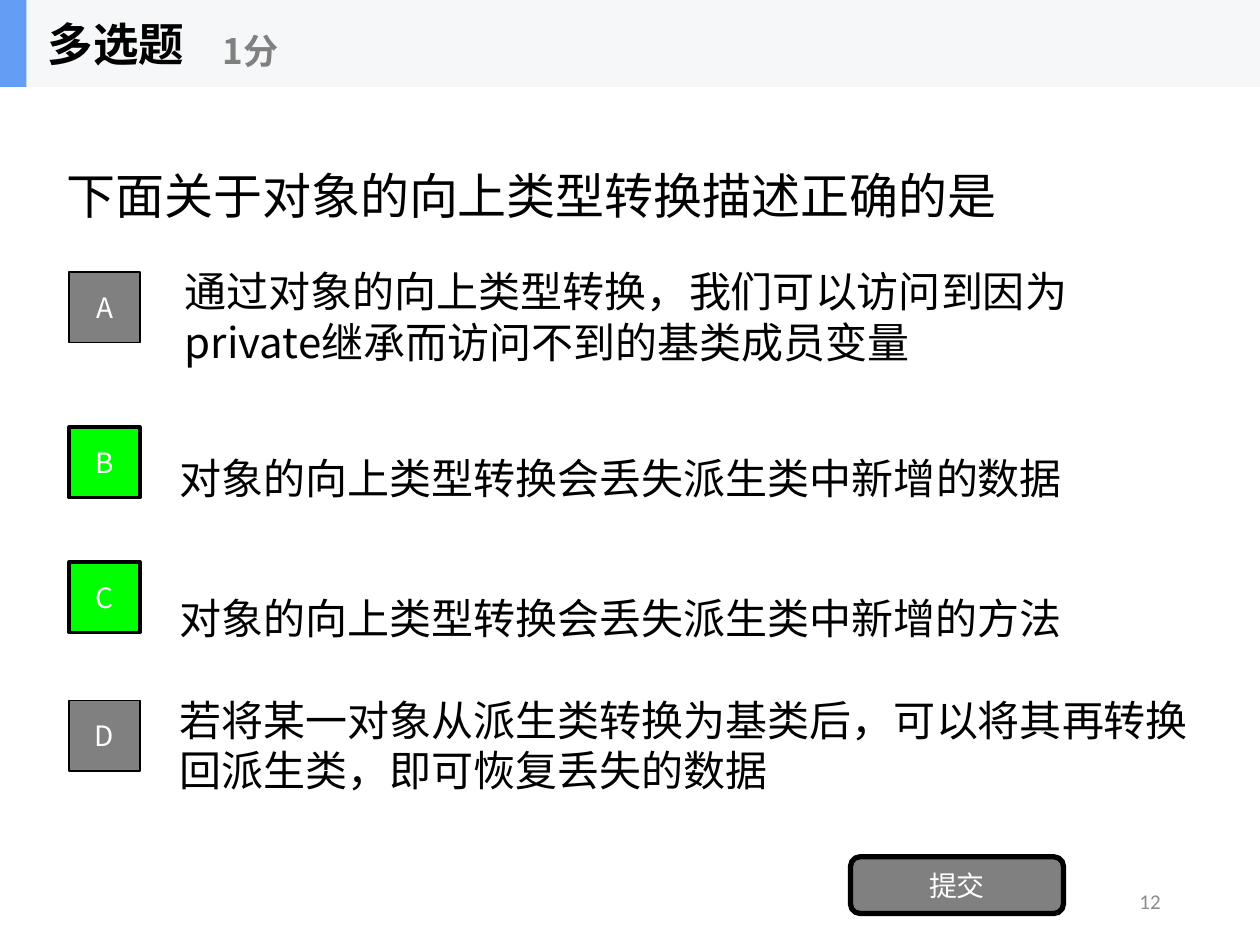
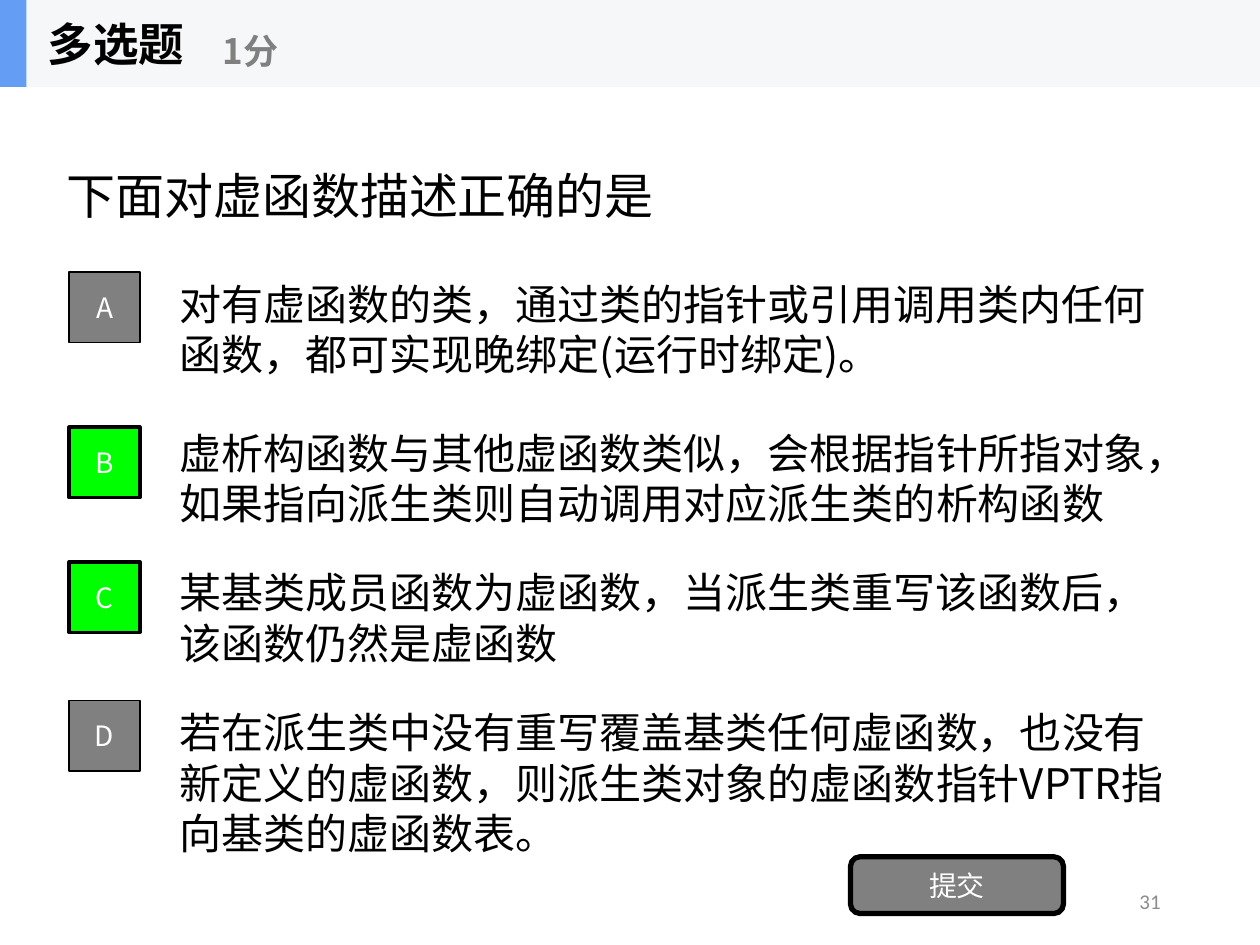
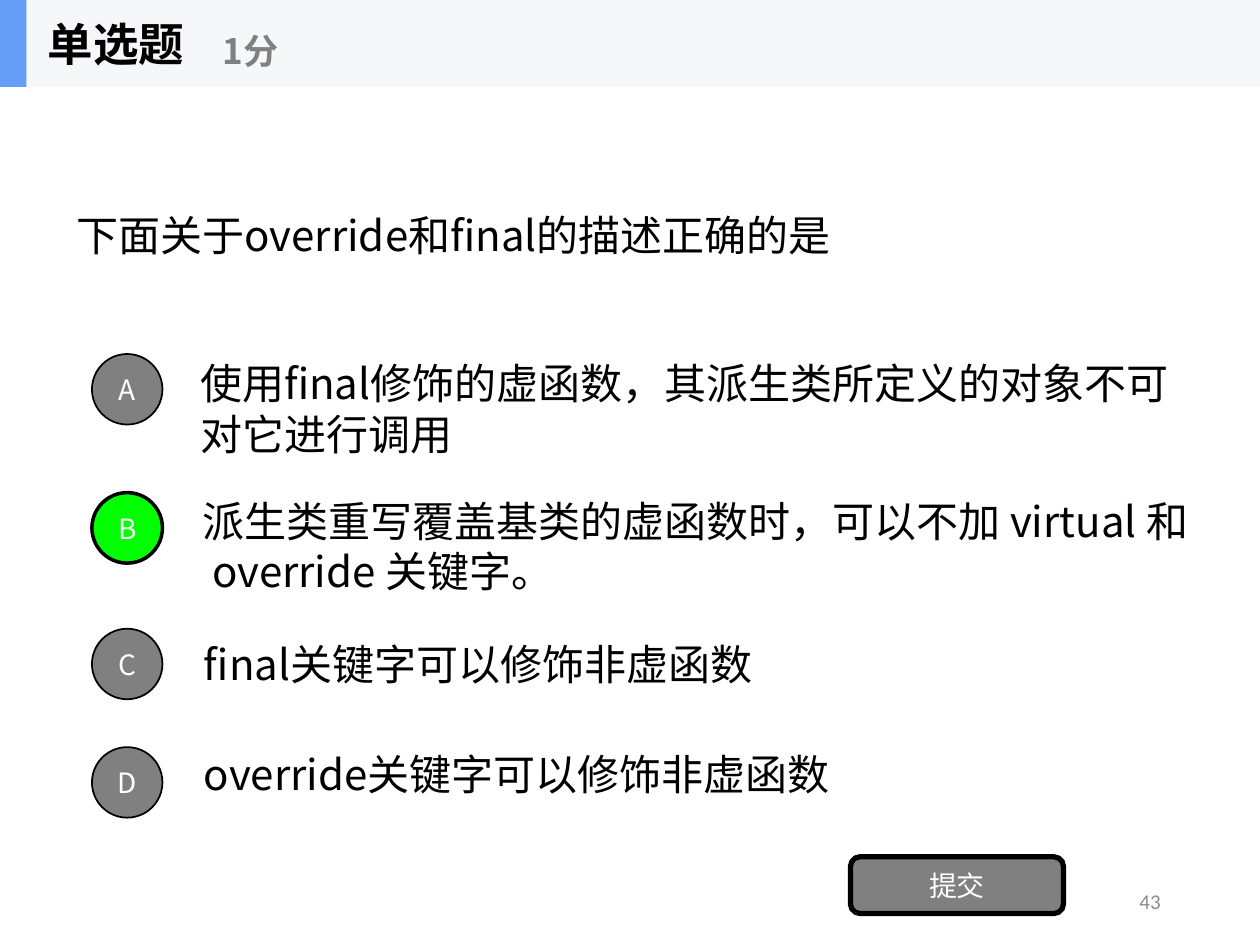
import dataclasses

import lxml.etree
import pptx
import pptx.dml.color
import pptx.enum.shapes
import pptx.enum.text
import pptx.oxml.ns
import pptx.util

Inches = pptx.util.Inches
Pt = pptx.util.Pt
Shape = pptx.enum.shapes.MSO_SHAPE
Align = pptx.enum.text.PP_ALIGN

COLOURS = {
    "text": "000000",
    "button": "808080",
    "correct": "00FF00",
    "white": "FFFFFF",
    "band": "F6F7F8",
    "accent": "639EF4",
    "number": "8C8C8C",
}
CJK_FONT = "Noto Sans CJK SC"
NUMBER_FONT = "Calibri"
BAND_HEIGHT = 0.69
BADGE_SIZE = 0.56
OPTION_HEIGHT = 0.7
WIDE = 8.25


@dataclasses.dataclass
class Option:
    """An answer: its lines, text box position and size, and badge top."""
    lines: list
    left: float
    top: float
    badge_top: float
    correct: bool = False
    width: float = 8
    height: float = OPTION_HEIGHT


@dataclasses.dataclass
class Question:
    """A question slide and the look of its answer badges."""
    kind: str
    number: int
    prompt: str
    options: list
    prompt_left: float = 0.43
    prompt_top: float = 0.38
    prompt_size: int = 28
    badge_shape: int = Shape.RECTANGLE
    badge_left: float = 0.55


QUESTIONS = [
    Question("多选题", 12, "下面关于对象的向上类型转换描述正确的是", [
        Option(["通过对象的向上类型转换，我们可以访问到因为",
                "private继承而访问不到的基类成员变量"], 1.37, 2.03, 2.16, height=0.96),
        Option(["对象的向上类型转换会丢失派生类中新增的数据"],
               1.33, 3.44, 3.39, True, width=7.25),
        Option(["对象的向上类型转换会丢失派生类中新增的方法"], 1.33, 4.55, 4.46, True),
        Option(["若将某一对象从派生类转换为基类后，可以将其再转换",
                "回派生类，即可恢复丢失的数据"], 1.33, 5.56, 5.56, width=WIDE),
    ]),
    Question("多选题", 31, "下面对虚函数描述正确的是", [
        Option(["对有虚函数的类，通过类的指针或引用调用类内任何",
                "函数，都可实现晚绑定(运行时绑定)。"], 1.33, 2.26, 2.16),
        Option(["虚析构函数与其他虚函数类似，会根据指针所指对象，",
                "如果指向派生类则自动调用对应派生类的析构函数"],
               1.33, 3.44, 3.39, True, width=WIDE),
        Option(["某基类成员函数为虚函数，当派生类重写该函数后，",
                "该函数仍然是虚函数"], 1.33, 4.55, 4.46, True),
        Option(["若在派生类中没有重写覆盖基类任何虚函数，也没有",
                "新定义的虚函数，则派生类对象的虚函数指针VPTR指",
                "向基类的虚函数表。"], 1.33, 5.86, 5.56, width=WIDE),
    ]),
    Question("单选题", 43, "下面关于override和final的描述正确的是", [
        Option(["使用final修饰的虚函数，其派生类所定义的对象不可",
                "对它进行调用"], 1.49, 2.89, 2.81, width=WIDE),
        Option(["派生类重写覆盖基类的虚函数时，可以不加 virtual 和",
                " override 关键字。"], 1.51, 3.98, 3.91, True, width=WIDE),
        Option(["final关键字可以修饰非虚函数"], 1.52, 4.92, 4.99, width=7),
        Option(["override关键字可以修饰非虚函数"], 1.52, 5.79, 5.93, width=7),
    ], prompt_left=0.51, prompt_top=0.69, prompt_size=24,
        badge_shape=Shape.OVAL, badge_left=0.73),
]


def rgb(name):
    """Return the named colour."""
    return pptx.dml.color.RGBColor.from_string(COLOURS[name])


def write(shape, lines, size, colour="text", align=Align.LEFT, bold=False,
          font=CJK_FONT, wrap=True):
    """Write one paragraph per line, centred vertically in the shape."""
    frame = shape.text_frame
    frame.word_wrap = wrap
    frame.vertical_anchor = pptx.enum.text.MSO_ANCHOR.MIDDLE
    frame.text = "\n".join(lines)
    for paragraph in frame.paragraphs:
        paragraph.alignment = align
        paragraph.font.size = Pt(size)
        paragraph.font.bold = bold
        paragraph.font.name = font
        paragraph.font.color.rgb = rgb(colour)
        properties = paragraph.font._element
        east_asian = lxml.etree.SubElement(properties, pptx.oxml.ns.qn("a:ea"))
        east_asian.set("typeface", font)


def add_text(shapes, left, top, width, height, lines, size, **style):
    """Add a text box."""
    box = shapes.add_textbox(Inches(left), Inches(top), Inches(width), Inches(height))
    write(box, lines, size, **style)


def add_block(shapes, kind, left, top, width, height, fill, line_width=0):
    """Add a filled shape, outlined in black if a line width is given."""
    shape = shapes.add_shape(kind, Inches(left), Inches(top),
                             Inches(width), Inches(height))
    shape.shadow.inherit = False
    shape.fill.solid()
    shape.fill.fore_color.rgb = rgb(fill)
    if line_width:
        shape.line.color.rgb = rgb("text")
        shape.line.width = Pt(line_width)
    else:
        shape.line.fill.background()
    return shape


def add_button(shapes, kind, left, top, width, height, label, fill, line_width):
    """Add an outlined shape with a centred white label."""
    button = add_block(shapes, kind, left, top, width, height, fill, line_width)
    write(button, [label], 16, colour="white", align=Align.CENTER)


def add_header(slide, kind):
    """Add the grouped title band with question kind and score."""
    shapes = slide.shapes.add_group_shape().shapes
    add_block(shapes, Shape.RECTANGLE, 0, 0, 10, BAND_HEIGHT, "band")
    add_block(shapes, Shape.RECTANGLE, 0, 0, 0.21, BAND_HEIGHT, "accent")
    add_text(shapes, 0.28, 0, 2.08, BAND_HEIGHT, [kind], 26, bold=True, wrap=False)
    add_text(shapes, 1.67, 0.12, 2.5, 0.56, ["1分"], 20, colour="button",
             bold=True, wrap=False)


def add_question(presentation, question):
    """Add one question slide."""
    slide = presentation.slides.add_slide(presentation.slide_layouts[6])
    shapes = slide.shapes
    add_text(shapes, 7.06, 6.95, 2.25, 0.4, [str(question.number)], 12,
             colour="number", align=Align.RIGHT, font=NUMBER_FONT)
    add_text(shapes, question.prompt_left, question.prompt_top, 8, 2.34,
             [question.prompt], question.prompt_size)
    for option in question.options:
        add_text(shapes, option.left, option.top, option.width, option.height,
                 option.lines, 24, wrap=False)
    for letter, option in zip("ABCD", question.options):
        fill, line_width = ("correct", 2) if option.correct else ("button", 1)
        add_button(shapes, question.badge_shape, question.badge_left,
                   option.badge_top, BADGE_SIZE, BADGE_SIZE, letter, fill, line_width)
    add_button(shapes, Shape.ROUNDED_RECTANGLE, 6.75, 6.8, 1.69, 0.45,
               "提交", "button", 3)
    add_header(slide, question.kind)


def main():
    """Build the quiz slides and save them."""
    presentation = pptx.Presentation()
    presentation.slide_width = Inches(10)
    presentation.slide_height = Inches(7.5)
    for question in QUESTIONS:
        add_question(presentation, question)
    presentation.save("out.pptx")


main()
